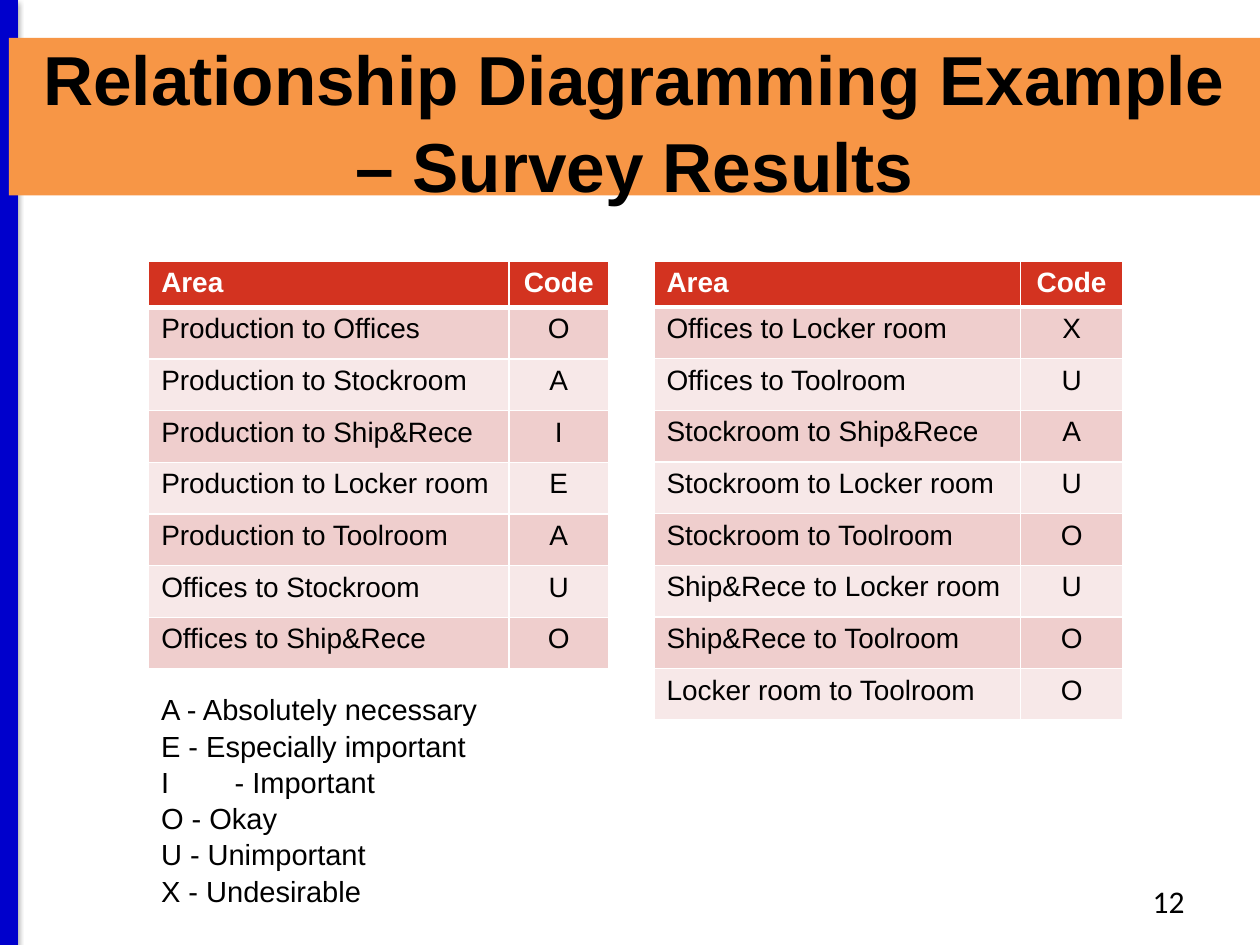
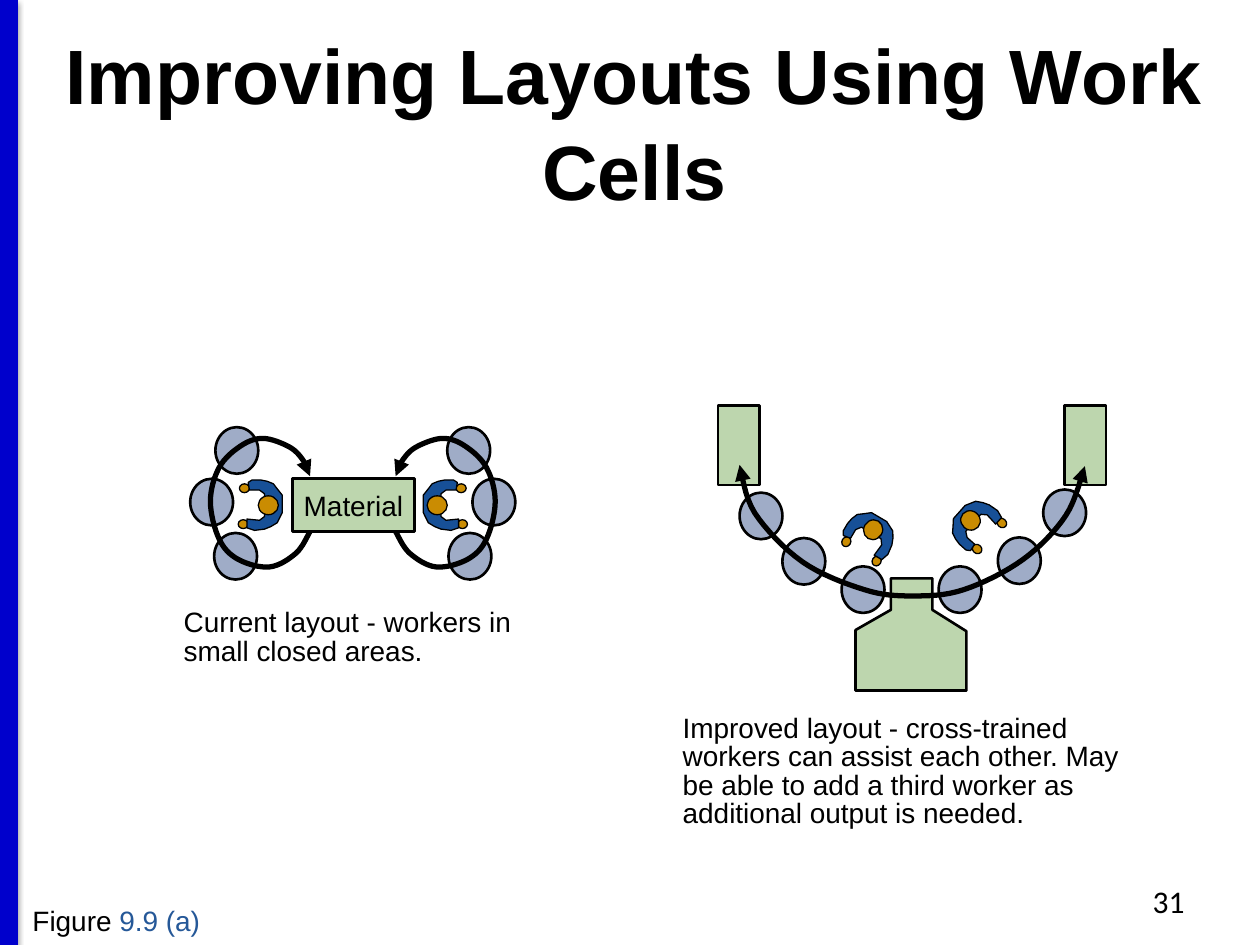
import math
from dataclasses import dataclass

import lxml.etree
import pptx
import pptx.dml.color
import pptx.enum.shapes
import pptx.enum.text
import pptx.oxml.ns
import pptx.util

SLIDE_WIDTH = pptx.util.Inches(10)
SLIDE_HEIGHT = pptx.util.Inches(7.5)
COLUMN = SLIDE_WIDTH / 100
ROW = SLIDE_HEIGHT / 75

BLACK, WHITE = "000000", "FFFFFF"
RAIL_BLUE = "0000CC"
TITLE_ORANGE = "F79646"
HEADER_RED, BAND_FILLS = "D33320", ("EFCECD", "F7E8E8")
EQUIPMENT_GREEN, STATION_BLUE = "BDD6AE", "9FACC7"
SKIN, CLOTHES = "CA8C02", "175097"
FIGURE_BLUE = "255898"

ALIGN = pptx.enum.text.PP_ALIGN
ANCHOR = pptx.enum.text.MSO_ANCHOR
PRESET = pptx.enum.shapes.MSO_SHAPE

Point = tuple[float, float]


@dataclass(frozen=True)
class Area:
    left: float
    top: float
    width: float
    height: float

    def emu(self) -> tuple[int, int, int, int]:
        return (round(self.left * COLUMN), round(self.top * ROW),
                round(self.width * COLUMN), round(self.height * ROW))


@dataclass(frozen=True)
class TextStyle:
    size: float = 16
    font: str = "Arial"
    color: str = BLACK
    bold: bool = False
    align: ALIGN = ALIGN.LEFT
    spacing: float = 1.0


@dataclass(frozen=True)
class Survey:
    left: float
    area_width: float
    code_width: float
    header_height: float
    ratings: tuple[tuple[str, str], ...]


@dataclass(frozen=True)
class Worker:
    center: Point
    angle: float = 0
    mirrored: bool = False

    def place(self, point: Point) -> Point:
        x, y = point
        if self.mirrored:
            x = -x
        turn = math.radians(self.angle)
        return (self.center[0] + x * math.cos(turn) - y * math.sin(turn),
                self.center[1] + x * math.sin(turn) + y * math.cos(turn))


TITLE_AREA = Area(0.7, 3, 99.3, 12.5)
PAGE_AREA = Area(71.7, 69.5, 23.3, 4)
PAGE_STYLE = TextStyle(18, "Calibri", align=ALIGN.RIGHT)
CAPTION_STYLE = TextStyle(spacing=0.85)
SURVEY_TOP, RATING_HEIGHT = 20.7, 4.1

SURVEYS = (
    Survey(11.8, 28.6, 7.9, 3.7, (
        ("Production to Offices", "O"), ("Production to Stockroom", "A"),
        ("Production to Ship&Rece", "I"), ("Production to Locker room", "E"),
        ("Production to Toolroom", "A"), ("Offices to Stockroom", "U"),
        ("Offices to Ship&Rece", "O"))),
    Survey(51.9, 29.1, 8.1, 3.3, (
        ("Offices to Locker room", "X"), ("Offices to Toolroom", "U"),
        ("Stockroom to Ship&Rece", "A"), ("Stockroom to Locker room", "U"),
        ("Stockroom to Toolroom", "O"), ("Ship&Rece to Locker room", "U"),
        ("Ship&Rece to Toolroom", "O"), ("Locker room to Toolroom", "O"))),
)
CODE_MEANINGS = ("A - Absolutely necessary", "E - Especially important",
                 "I\t - Important", "O - Okay", "U - Unimportant", "X - Undesirable")

BODY_OUTLINE = ((-1.3, -1.8), (-1, -2), (-0.3, -2), (0.2, -1.9), (0.7, -1.7), (1, -1.3),
                (1.4, -0.8), (1.4, 0.6), (1, 1.4), (0.5, 1.7), (0, 1.9), (-0.8, 2),
                (-1.4, 1.8), (-1.4, 1.1), (-0.4, 1.2), (0, 0.9), (0, -0.9),
                (-0.4, -1.2), (-1.2, -1.2))
HANDS = ((-1.7, 1.5), (-1.6, -1.35))
HEAD = (0.3, 0)

MIRROR_AXIS = 28
CELL_STATIONS = ((18.8, 35.75), (18.7, 44.15), (16.8, 39.85))
CELL_LOOP = ((24.6, 42.2), (23.5, 43.9), (21.4, 45), (18.9, 44.4), (17.4, 42.8),
             (16.7, 39.8), (17.4, 37.1), (19.1, 35.4), (20.9, 34.8), (23, 35.5),
             (24.1, 36.6), (24.6, 37.8))
LINE_STATIONS = ((60.4, 40.95), (63.8, 44.55), (68.5, 46.8),
                 (76.2, 46.8), (80.9, 44.5), (84.5, 40.7))
LINE_ROUTE = ((58.7, 36.9), (59.9, 40.7), (63.7, 44.6), (68.6, 46.8), (72.4, 47.3),
              (76.5, 46.8), (81.2, 44.4), (84.6, 40.9), (86.1, 37))
LINE_WORKERS = (Worker((69.15, 42.3), 300.5), Worker((77.25, 41.5), 221.6))
HOPPER = ((67.9, 50), (67.9, 54.8), (76.7, 54.8), (76.7, 50.1), (74, 48.4),
          (74, 45.9), (70.7, 45.9), (70.7, 48.4))


def color(code: str) -> pptx.dml.color.RGBColor:
    return pptx.dml.color.RGBColor.from_string(code)


def add_xml(parent, tag: str, **attributes):
    values = {name: str(value) for name, value in attributes.items()}
    return lxml.etree.SubElement(parent, pptx.oxml.ns.qn(tag), values)


def paint(shape, fill: str | None, outline: str | None = BLACK, weight: float = 1.5) -> None:
    shape.shadow.inherit = False
    if fill:
        shape.fill.solid()
        shape.fill.fore_color.rgb = color(fill)
    else:
        shape.fill.background()
    if outline:
        shape.line.color.rgb = color(outline)
        shape.line.width = pptx.util.Pt(weight)
    else:
        shape.line.fill.background()


def style_paragraph(paragraph, style: TextStyle) -> None:
    paragraph.alignment = style.align
    if style.spacing != 1:
        paragraph.line_spacing = style.spacing
    paragraph.font.size = pptx.util.Pt(style.size)
    paragraph.font.name = style.font
    paragraph.font.bold = style.bold
    paragraph.font.color.rgb = color(style.color)


def add_text(slide, area: Area, text: str, style: TextStyle):
    box = slide.shapes.add_textbox(*area.emu())
    box.text_frame.word_wrap = True
    box.text_frame.text = text
    for paragraph in box.text_frame.paragraphs:
        style_paragraph(paragraph, style)
    return box


def add_preset(slide, preset: PRESET, area: Area, fill: str, weight: float = 1.5):
    shape = slide.shapes.add_shape(preset, *area.emu())
    paint(shape, fill, weight=weight)
    return shape


def add_oval(slide, center: Point, width: float, height: float, fill: str, weight: float = 1.5):
    area = Area(center[0] - width / 2, center[1] - height / 2, width, height)
    return add_preset(slide, PRESET.OVAL, area, fill, weight)


def add_outline(slide, points, fill: str | None, weight: float, close: bool = True):
    corners = [(round(x * COLUMN), round(y * ROW)) for x, y in points]
    builder = slide.shapes.build_freeform(*corners[0], scale=1.0)
    builder.add_line_segments(corners[1:], close=close)
    shape = builder.convert_to_shape()
    paint(shape, fill, weight=weight)
    return shape


def smooth_curve(stops: tuple[Point, ...], steps: int = 8) -> list[Point]:
    padded = (stops[0], *stops, stops[-1])
    curve = [stops[0]]
    for a, b, c, d in zip(padded, padded[1:], padded[2:], padded[3:]):
        for step in range(1, steps + 1):
            t = step / steps
            curve.append(tuple(
                b[i] + (c[i] - a[i]) * t / 2
                + (2 * a[i] - 5 * b[i] + 4 * c[i] - d[i]) * t ** 2 / 2
                + (3 * b[i] - a[i] - 3 * c[i] + d[i]) * t ** 3 / 2
                for i in (0, 1)))
    return curve


def add_route(slide, stops: tuple[Point, ...], *arrow_ends: str) -> None:
    route = add_outline(slide, smooth_curve(stops), None, 3, close=False)
    stroke = route._element.spPr.find(pptx.oxml.ns.qn("a:ln"))
    for end in arrow_ends:
        add_xml(stroke, end, type="triangle")


def add_station(slide, center: Point) -> None:
    add_oval(slide, center, 3.4, 3.7, STATION_BLUE)


def add_worker(slide, worker: Worker) -> None:
    for hand in HANDS:
        add_oval(slide, worker.place(hand), 0.8, 0.7, SKIN, 0.75).rotation = worker.angle
    add_outline(slide, [worker.place(point) for point in BODY_OUTLINE], CLOTHES, 0.75)
    add_oval(slide, worker.place(HEAD), 1.6, 1.5, SKIN, 0.75).rotation = worker.angle


def add_rail(slide) -> None:
    x = round(0.7 * COLUMN)
    rail = slide.shapes.add_connector(
        pptx.enum.shapes.MSO_CONNECTOR.STRAIGHT, x, 0, x, SLIDE_HEIGHT)
    rail.line.color.rgb = color(RAIL_BLUE)
    rail.line.width = pptx.util.Pt(10)
    effects = add_xml(rail._element.spPr, "a:effectLst")
    shadow = add_xml(effects, "a:outerShdw", blurRad=40000, dist=20000,
                     dir=5400000, rotWithShape=0)
    add_xml(add_xml(shadow, "a:srgbClr", val=BLACK), "a:alpha", val=38000)


def add_page(deck, title: str, title_size: float, number: int, band: str | None = None):
    slide = deck.slides.add_slide(deck.slide_layouts[6])
    add_rail(slide)
    style = TextStyle(title_size, bold=True, align=ALIGN.CENTER, spacing=1.04)
    heading = add_text(slide, TITLE_AREA, title, style)
    heading.text_frame.vertical_anchor = ANCHOR.MIDDLE
    heading.text_frame.margin_top = pptx.util.Inches(0.1)
    if band:
        paint(heading, band, None)
    add_text(slide, PAGE_AREA, str(number), PAGE_STYLE)
    return slide


def fill_cell(cell, text: str, style: TextStyle, fill: str, top: float, bottom: float) -> None:
    cell.text = text
    style_paragraph(cell.text_frame.paragraphs[0], style)
    properties = cell._tc.get_or_add_tcPr()
    for side, weight in (("L", 1), ("R", 1), ("T", top), ("B", bottom)):
        border = add_xml(properties, f"a:ln{side}", w=pptx.util.Pt(weight))
        add_xml(add_xml(border, "a:solidFill"), "a:srgbClr", val=WHITE)
    cell.fill.solid()
    cell.fill.fore_color.rgb = color(fill)


def add_survey(slide, survey: Survey) -> None:
    rows = (("Area", "Code"), *survey.ratings)
    area = Area(survey.left, SURVEY_TOP, survey.area_width + survey.code_width,
                survey.header_height + RATING_HEIGHT * len(survey.ratings))
    table = slide.shapes.add_table(len(rows), 2, *area.emu()).table
    for column, width in zip(table.columns, (survey.area_width, survey.code_width)):
        column.width = round(width * COLUMN)
    for index, row in enumerate(rows):
        header = index == 0
        table.rows[index].height = round(
            (survey.header_height if header else RATING_HEIGHT) * ROW)
        fill = HEADER_RED if header else BAND_FILLS[(index - 1) % 2]
        for place, (text, align) in enumerate(zip(row, (ALIGN.LEFT, ALIGN.CENTER))):
            style = TextStyle(color=WHITE if header else BLACK, bold=header, align=align)
            fill_cell(table.cell(index, place), text, style, fill,
                      3 if index == 1 else 1, 3 if header else 1)


def add_code_key(slide) -> None:
    key = add_text(slide, Area(11.8, 54.3, 36.8, 18.6), "", TextStyle())
    for index, meaning in enumerate(CODE_MEANINGS):
        frame = key.text_frame
        paragraph = frame.add_paragraph() if index else frame.paragraphs[0]
        properties = paragraph._p.get_or_add_pPr()
        hang = pptx.util.Inches(0.52)
        properties.set("marL", str(hang))
        properties.set("indent", str(-hang))
        tabs = add_xml(properties, "a:tabLst")
        add_xml(tabs, "a:tab", pos=pptx.util.Inches(0.11), algn="ctr")
        paragraph.add_run().text = meaning
        for old in properties.findall(pptx.oxml.ns.qn("a:defRPr")):
            properties.remove(old)
        style_paragraph(paragraph, TextStyle(16.6, spacing=1.04))


def draw_current_layout(slide) -> None:
    material = add_preset(slide, PRESET.RECTANGLE, Area(23.2, 38, 9.7, 4.2), EQUIPMENT_GREEN)
    frame = material.text_frame
    frame.margin_left = frame.margin_right = 0
    frame.vertical_anchor = ANCHOR.MIDDLE
    frame.text = "Material"
    style_paragraph(frame.paragraphs[0], TextStyle(align=ALIGN.CENTER))
    for mirrored in (False, True):
        def side(point: Point) -> Point:
            return (2 * MIRROR_AXIS - point[0], point[1]) if mirrored else point

        add_worker(slide, Worker(side((21, 40.1)), mirrored=mirrored))
        for station in CELL_STATIONS:
            add_station(slide, side(station))
        add_route(slide, tuple(side(stop) for stop in CELL_LOOP), "a:tailEnd")
    add_text(slide, Area(13.6, 47.9, 30.3, 5.7),
             "Current layout - workers in small closed areas.", CAPTION_STYLE)


def draw_improved_layout(slide) -> None:
    for left in (57, 84.5):
        add_preset(slide, PRESET.RECTANGLE, Area(left, 32.2, 3.3, 6.3), EQUIPMENT_GREEN)
    for worker in LINE_WORKERS:
        add_worker(slide, worker)
    for station in LINE_STATIONS:
        add_station(slide, station)
    add_outline(slide, HOPPER, EQUIPMENT_GREEN, 1.5)
    add_route(slide, LINE_ROUTE, "a:headEnd", "a:tailEnd")
    add_text(slide, Area(53.2, 56.3, 38.4, 10.2),
             "Improved layout - cross-trained workers can assist each other. "
             "May be able to add a third worker as additional output is needed.", CAPTION_STYLE)


def main() -> None:
    deck = pptx.Presentation()
    deck.slide_width, deck.slide_height = SLIDE_WIDTH, SLIDE_HEIGHT

    results = add_page(deck, "Relationship Diagramming Example – Survey Results",
                       39.6, 12, TITLE_ORANGE)
    add_code_key(results)
    for survey in SURVEYS:
        add_survey(results, survey)

    cells = add_page(deck, "Improving Layouts Using Work Cells", 44, 31)
    draw_improved_layout(cells)
    draw_current_layout(cells)
    figure = add_text(cells, Area(1.6, 71.2, 16, 3.7), "Figure ", TextStyle())
    reference = figure.text_frame.paragraphs[0].add_run()
    reference.text = "9.9 (a)"
    reference.font.color.rgb = color(FIGURE_BLUE)

    deck.save("out.pptx")


if __name__ == "__main__":
    main()
